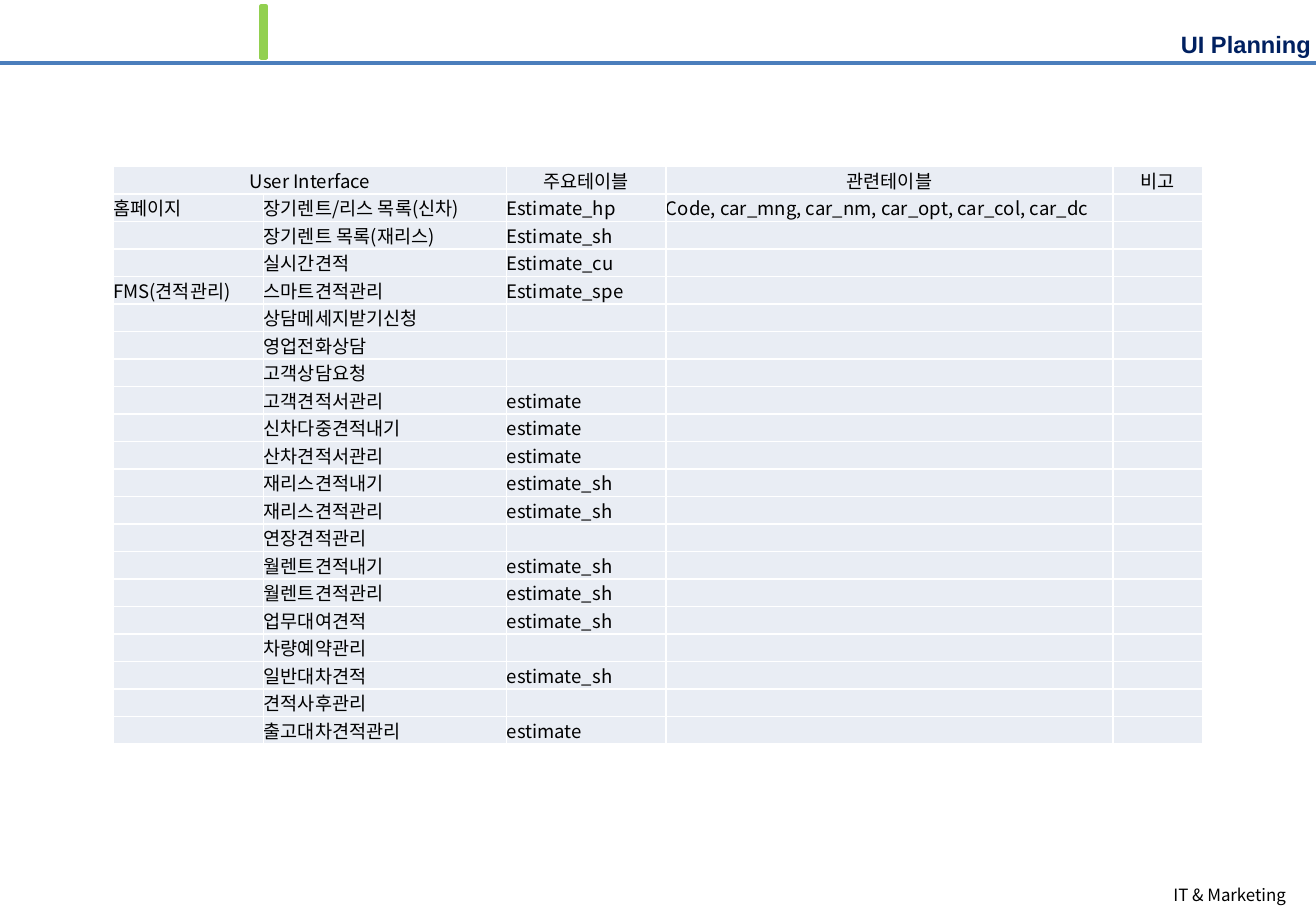
from lxml.etree import SubElement as sub
from pptx import Presentation
from pptx.dml.color import RGBColor as RGB
from pptx.enum.shapes import MSO_CONNECTOR as LINK, MSO_SHAPE as SHAPE
from pptx.enum.text import MSO_ANCHOR as ANCHOR, PP_ALIGN as ALIGN
from pptx.oxml.ns import qn
from pptx.util import Inches, Pt

WIDE, HIGH = Inches(10.83), Inches(7.5)
BLACK = RGB(0, 0, 0)
WHITE = RGB(0xFF, 0xFF, 0xFF)
NAVY = RGB(0x00, 0x20, 0x60)
GREEN = RGB(0x92, 0xD0, 0x50)
BLUE = RGB(0x4B, 0x7E, 0xBC)
PALE = RGB(0xE9, 0xED, 0xF4)
NOTO = "Noto Sans CJK KR"

COLS = (1.24, 2, 1.31, 3.68, 0.74)
HEAD = ("User Interface", "", "주요테이블", "관련테이블", "비고")
ROWS = (
    ("홈페이지", "장기렌트/리스 목록(신차)", "Estimate_hp",
     "Code, car_mng, car_nm, car_opt, car_col, car_dc"),
    ("", "장기렌트 목록(재리스)", "Estimate_sh"),
    ("", "실시간견적", "Estimate_cu"),
    ("FMS(견적관리)", "스마트견적관리", "Estimate_spe"),
    ("", "상담메세지받기신청"),
    ("", "영업전화상담"),
    ("", "고객상담요청"),
    ("", "고객견적서관리", "estimate"),
    ("", "신차다중견적내기", "estimate"),
    ("", "산차견적서관리", "estimate"),
    ("", "재리스견적내기", "estimate_sh"),
    ("", "재리스견적관리", "estimate_sh"),
    ("", "연장견적관리"),
    ("", "월렌트견적내기", "estimate_sh"),
    ("", "월렌트견적관리", "estimate_sh"),
    ("", "업무대여견적", "estimate_sh"),
    ("", "차량예약관리"),
    ("", "일반대차견적", "estimate_sh"),
    ("", "견적사후관리"),
    ("", "출고대차견적관리", "estimate"),
)


def area(left, top, width, height):
    """Turn percentages of the slide into lengths."""
    return [int(share * side / 100) for share, side in
            zip((left, top, width, height), (WIDE, HIGH) * 2)]


def write(frame, text, size=11, font=NOTO, color=BLACK, bold=False,
          align=ALIGN.LEFT, before=0):
    """Put one formatted paragraph into a text frame."""
    para = frame.paragraphs[0]
    para.alignment = align
    para.space_before = Pt(before)
    if not text:
        sub(para._p, qn("a:endParaRPr"), sz=str(size * 100))
        return
    run = para.add_run()
    run.text = text
    run.font.size, run.font.name, run.font.bold = Pt(size), font, bold
    run.font.color.rgb = color
    sub(run._r.get_or_add_rPr(), qn("a:ea"), typeface=font)


def label(slide, place, text, wrap=True, pad=(0.1, 0.05), **style):
    """Add a text box with right-aligned text."""
    frame = slide.shapes.add_textbox(*area(*place)).text_frame
    frame.word_wrap = wrap
    frame.margin_left = frame.margin_right = Inches(pad[0])
    frame.margin_top = frame.margin_bottom = Inches(pad[1])
    write(frame, text, align=ALIGN.RIGHT, **style)


def bar(slide, place, color):
    """Add an upright bar of one colour."""
    shape = slide.shapes.add_shape(SHAPE.RECTANGLE, *area(*place))
    shape.shadow.inherit = False
    shape.fill.solid()
    shape.fill.fore_color.rgb = shape.line.color.rgb = color
    shape.line.width = Pt(2)


def rule(slide, top, color):
    """Draw a line across the whole slide."""
    y = int(HIGH * top / 100)
    line = slide.shapes.add_connector(LINK.STRAIGHT, 0, y, WIDE, y)
    line.line.color.rgb, line.line.width = color, Pt(2)
    sub(line._element.spPr, qn("a:effectLst"))


def paint(cell):
    """Give a cell its borders, fill and margins."""
    props = cell._tc.get_or_add_tcPr()
    for side in "LRTB":
        edge = sub(props, qn(f"a:ln{side}"), w=str(Pt(1)))
        sub(sub(edge, qn("a:solidFill")), qn("a:srgbClr"), val=str(WHITE))
    cell.fill.solid()
    cell.fill.fore_color.rgb = PALE
    cell.margin_left = cell.margin_right = 0
    cell.margin_top = cell.margin_bottom = 0
    cell.vertical_anchor = ANCHOR.MIDDLE


def grid(slide, place):
    """Add the table of screens and their data tables."""
    left, top, width, height = area(*place)
    lines = (HEAD, *ROWS)
    table = slide.shapes.add_table(len(lines), len(COLS), left, top,
                                   width, height).table
    for col, share in zip(table.columns, COLS):
        col.width = int(width * share / sum(COLS))
    for r, line in enumerate(lines):
        table.rows[r].height = height // len(lines)
        for c in range(len(COLS)):
            cell = table.cell(r, c)
            paint(cell)
            write(cell.text_frame, line[c] if c < len(line) else "",
                  align=ALIGN.LEFT if r else ALIGN.CENTER)
    table.cell(0, 0).merge(table.cell(0, 1))


def main():
    """Build and save the slide."""
    deck = Presentation()
    deck.slide_width, deck.slide_height = WIDE, HIGH
    slide = deck.slides.add_slide(deck.slide_layouts[6])
    label(slide, (87.81, 96.4, 10.8, 3.6), "IT & Marketing", wrap=False,
          size=10)
    label(slide, (84.58, 2.93, 15.6, 4), "UI Planning", pad=(0.06, 0.03),
          size=14, font="Arial", color=NAVY, bold=True, before=5)
    bar(slide, (19.85, 0.67, 0.37, 5.73), GREEN)
    rule(slide, 6.93, BLUE)
    grid(slide, (8.59, 18.27, 82.83, 63.47))
    deck.save("out.pptx")


if __name__ == "__main__":
    main()
